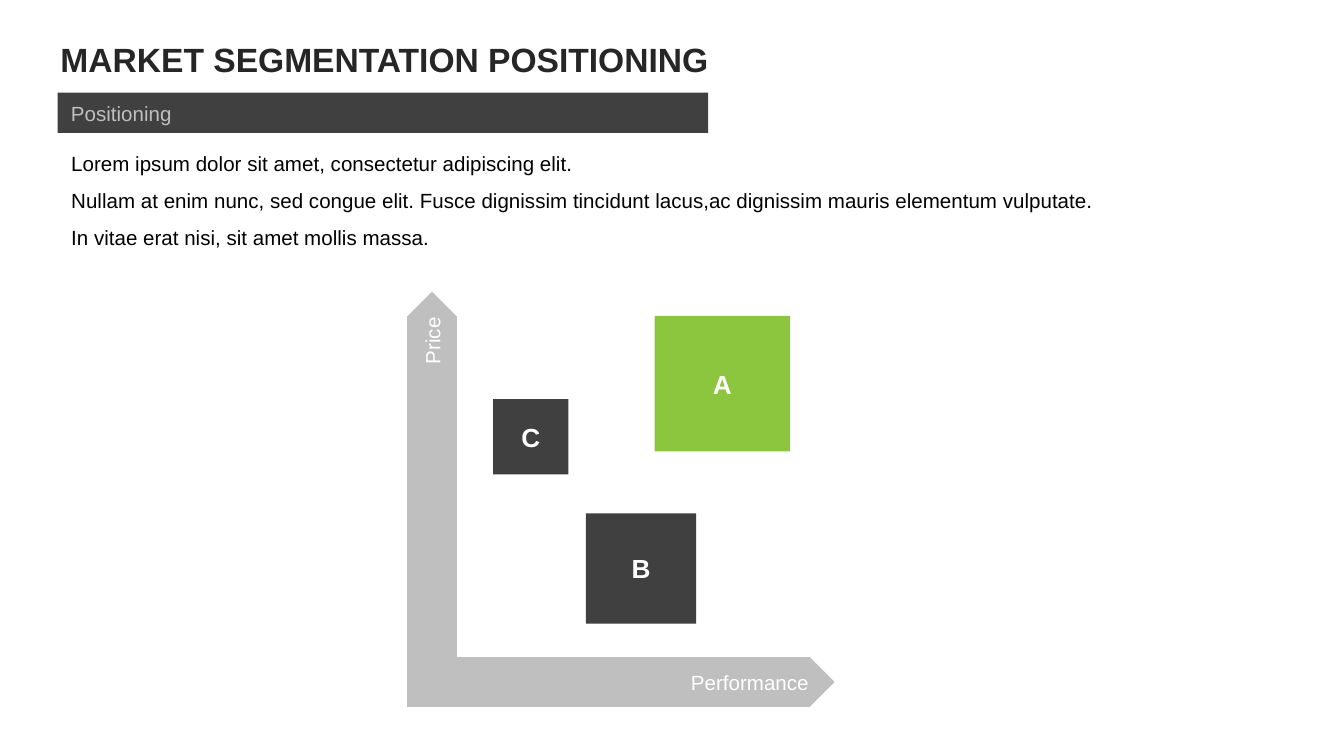
from lxml.etree import SubElement
from pptx import Presentation
from pptx.dml.color import RGBColor
from pptx.enum.shapes import MSO_SHAPE
from pptx.enum.text import MSO_ANCHOR, MSO_AUTO_SIZE, PP_ALIGN
from pptx.oxml.ns import qn
from pptx.util import Inches, Pt

DARK = RGBColor(0x40, 0x40, 0x40)
GREY = RGBColor(0xBF, 0xBF, 0xBF)
GREEN = RGBColor(0x8C, 0xC6, 0x3E)
WHITE = RGBColor(0xFF, 0xFF, 0xFF)
BLACK = RGBColor(0, 0, 0)
TITLE_COLOR = RGBColor(0x26, 0x26, 0x26)

TITLE = "MARKET SEGMENTATION POSITIONING"
SUBTITLE = "Positioning"
POINTS = [
    "Lorem ipsum dolor sit amet, consectetur adipiscing elit.",
    "Nullam at enim nunc, sed congue elit. Fusce dignissim tincidunt lacus,"
    "ac dignissim mauris elementum vulputate.",
    "In vitae erat nisi, sit amet mollis massa.",
]
# Name, left, top, side, colour
SEGMENTS = [
    ("A", 4.87, 2.35, 1.01, GREEN),
    ("C", 3.67, 2.97, 0.56, DARK),
    ("B", 4.36, 3.82, 0.82, DARK),
]
AXIS_LEFT, AXIS_TOP, AXIS_WIDTH = 3.03, 4.89, 0.37
PRICE_LENGTH, PERFORMANCE_LENGTH = 2.72, 3.18


def place(shape, left, top, width, height):
    shape.left, shape.top = Inches(left), Inches(top)
    shape.width, shape.height = Inches(width), Inches(height)


def format_text(frame, size, color, bold=False, align=PP_ALIGN.LEFT):
    for paragraph in frame.paragraphs:
        paragraph.alignment = align
        for run in paragraph.runs:
            run.font.name = "Arial"
            run.font.size = Pt(size)
            run.font.bold = bold
            run.font.color.rgb = color


def add_block(slide, kind, box, fill, label, size, color, bold=False,
              align=PP_ALIGN.LEFT):
    block = slide.shapes.add_shape(kind, *map(Inches, box))
    block.shadow.inherit = False
    block.fill.solid()
    block.fill.fore_color.rgb = fill
    block.line.fill.background()
    block.text_frame.text = label
    block.text_frame.vertical_anchor = MSO_ANCHOR.MIDDLE
    format_text(block.text_frame, size, color, bold, align)
    return block


def fill_placeholder(placeholder, box, text, size, color, bold=False):
    place(placeholder, *box)
    frame = placeholder.text_frame
    frame.text = text
    frame.word_wrap = True
    frame.auto_size = MSO_AUTO_SIZE.NONE
    frame.vertical_anchor = MSO_ANCHOR.TOP
    format_text(frame, size, color, bold)
    return frame


def main():
    prs = Presentation()
    prs.slide_width = Inches(10)
    prs.slide_height = prs.slide_width * 9 // 16
    slide = prs.slides.add_slide(prs.slide_layouts[1])

    fill_placeholder(slide.shapes.title, (0.35, 0.24, 9.29, 0.4),
                     TITLE, 18, TITLE_COLOR, bold=True)
    body = fill_placeholder(slide.placeholders[1], (0.43, 0.98, 9.13, 1.21),
                            "\n".join(POINTS), 11, BLACK)
    for paragraph in body.paragraphs:
        paragraph.line_spacing = 1.5
        paragraph.space_before = Pt(0)
        properties = paragraph._p.get_or_add_pPr()
        properties.set("marL", "0")
        properties.set("indent", "0")
        SubElement(properties, qn("a:buNone"))

    add_block(slide, MSO_SHAPE.RECTANGLE, (0.43, 0.69, 4.84, 0.3),
              DARK, SUBTITLE, 11, GREY)

    # The price axis is turned about its centre to stand on the performance axis
    price_left = AXIS_LEFT + (AXIS_WIDTH - PRICE_LENGTH) / 2
    price_top = AXIS_TOP - (PRICE_LENGTH + AXIS_WIDTH) / 2
    axes = [
        ("Price", price_left, price_top, PRICE_LENGTH, 270),
        ("Performance", AXIS_LEFT, AXIS_TOP, PERFORMANCE_LENGTH, 0),
    ]
    for label, left, top, length, rotation in axes:
        axis = add_block(slide, MSO_SHAPE.PENTAGON,
                         (left, top, length, AXIS_WIDTH),
                         GREY, label, 11, WHITE, align=PP_ALIGN.RIGHT)
        axis.rotation = rotation

    for name, left, top, side, color in SEGMENTS:
        add_block(slide, MSO_SHAPE.RECTANGLE, (left, top, side, side),
                  color, name, 14, WHITE, bold=True, align=PP_ALIGN.CENTER)

    prs.save("out.pptx")


if __name__ == "__main__":
    main()
